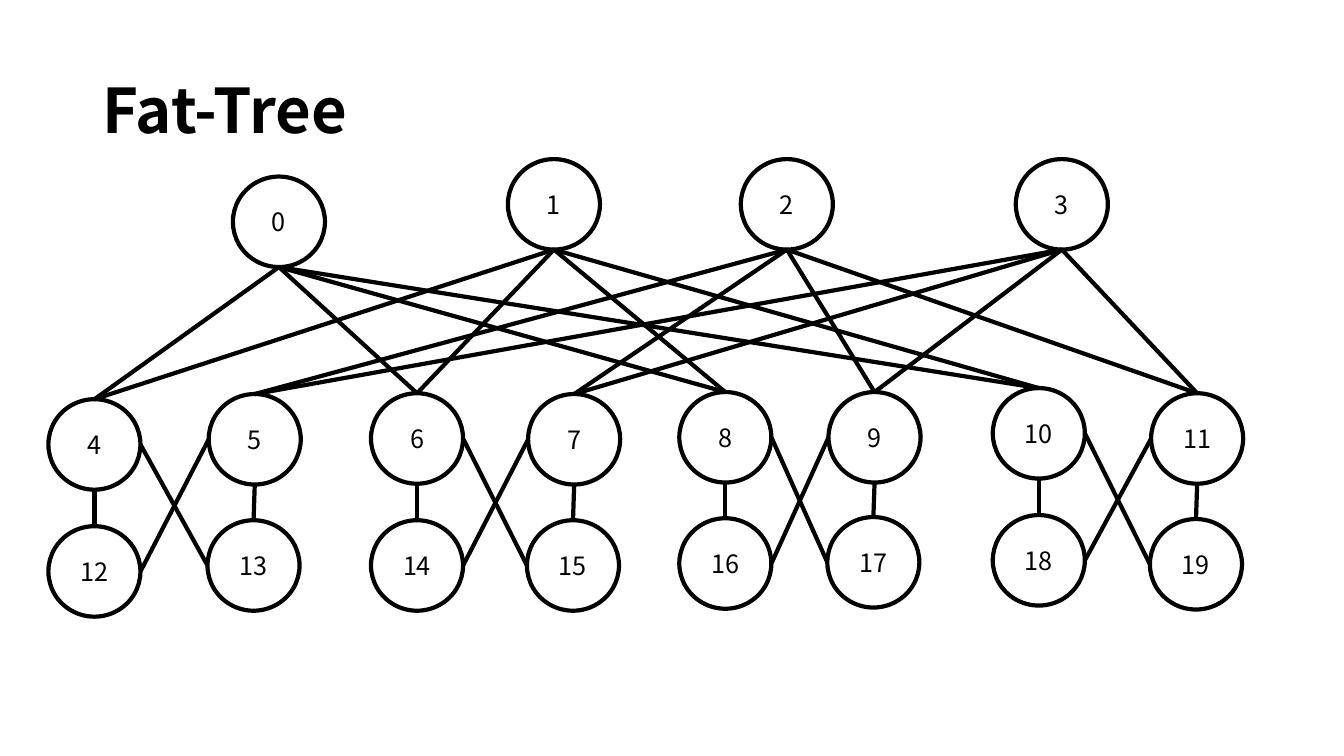
from lxml.etree import SubElement
from pptx import Presentation
from pptx.dml.color import RGBColor
from pptx.enum.shapes import MSO_CONNECTOR as CONNECTOR, MSO_SHAPE as SHAPE
from pptx.enum.text import MSO_ANCHOR as ANCHOR, MSO_AUTO_SIZE as AUTO_SIZE, PP_ALIGN as ALIGN
from pptx.oxml.ns import qn
from pptx.util import Cm, Pt

# Content: left and top of each numbered switch, in cm
TITLE = "Fat-Tree"
CORE = [(5.87, 4.45), (12.8, 4.01), (18.67, 4.01), (25.6, 4.01)]
AGGREGATION = [(1.22, 10.06), (5.26, 9.93), (9.35, 9.91), (13.31, 9.93),
               (17.12, 9.88), (20.88, 9.88), (25.02, 9.78), (29.01, 9.91)]
EDGE = [(1.22, 13.26), (5.23, 13.11), (9.35, 13.11), (13.28, 13.11),
        (17.12, 13.06), (20.85, 13.03), (25.02, 12.98), (28.98, 13.08)]

FONT = "Noto Sans CJK SC"
BLACK, WHITE = "000000", "FFFFFF"
NODE_WIDTH, NODE_HEIGHT = 2.32, 2.28
LINE_WIDTH = Pt(3)

# Points on a node's outline, as shares of its width and height
TOP, BOTTOM, LEFT, RIGHT = (0.5, 0), (0.5, 1), (0, 0.5), (1, 0.5)


def color(value):
    return RGBColor.from_string(value)


def style_text(paragraph, size, bold=False):
    for run in paragraph.runs:
        run.font.name = FONT
        run.font.size = Pt(size)
        run.font.bold = bold
        run.font.color.rgb = color(BLACK)


def style_line(line):
    line.color.rgb = color(BLACK)
    line.width = LINE_WIDTH


def add_node(slide, number, position):
    left, top = position
    shape = slide.shapes.add_shape(SHAPE.OVAL, Cm(left), Cm(top), Cm(NODE_WIDTH), Cm(NODE_HEIGHT))
    shape.shadow.inherit = False
    shape.fill.solid()
    shape.fill.fore_color.rgb = color(WHITE)
    style_line(shape.line)
    text_frame = shape.text_frame
    text_frame.text = str(number)
    text_frame.vertical_anchor = ANCHOR.MIDDLE
    paragraph = text_frame.paragraphs[0]
    paragraph.alignment = ALIGN.CENTER
    style_text(paragraph, 18)


def outline_point(node, side):
    return Cm(node[0] + side[0] * NODE_WIDTH), Cm(node[1] + side[1] * NODE_HEIGHT)


def add_link(slide, start, start_side, end, end_side):
    connector = slide.shapes.add_connector(
        CONNECTOR.STRAIGHT, *outline_point(start, start_side), *outline_point(end, end_side))
    style_line(connector.line)
    SubElement(connector._element.spPr, qn("a:effectLst"))


def main():
    presentation = Presentation()
    presentation.slide_width, presentation.slide_height = Cm(33.87), Cm(19.05)
    slide = presentation.slides.add_slide(presentation.slide_layouts[5])

    # Title
    title = slide.shapes.title
    title.left, title.top, title.width, title.height = Cm(2.33), Cm(1.01), Cm(29.21), Cm(3.68)
    title.text_frame.text = TITLE
    title.text_frame.auto_size = AUTO_SIZE.NONE
    title.text_frame.vertical_anchor = ANCHOR.MIDDLE
    paragraph = title.text_frame.paragraphs[0]
    paragraph.alignment = ALIGN.LEFT
    paragraph.line_spacing = 0.9
    style_text(paragraph, 44, bold=True)

    # Switches, numbered from the core down
    for number, position in enumerate(CORE + AGGREGATION + EDGE):
        add_node(slide, number, position)

    # Each aggregation switch reaches one half of the core
    for index, switch in enumerate(AGGREGATION):
        half = CORE[:2] if index % 2 == 0 else CORE[2:]
        for core in half:
            add_link(slide, switch, TOP, core, BOTTOM)

    # Edge switches go straight up
    for edge, switch in zip(EDGE, AGGREGATION):
        add_link(slide, edge, TOP, switch, BOTTOM)

    # The two pairs of a pod cross
    for first in range(0, len(EDGE), 2):
        second = first + 1
        add_link(slide, EDGE[second], LEFT, AGGREGATION[first], RIGHT)
        add_link(slide, AGGREGATION[second], LEFT, EDGE[first], RIGHT)

    presentation.save("out.pptx")


if __name__ == "__main__":
    main()
